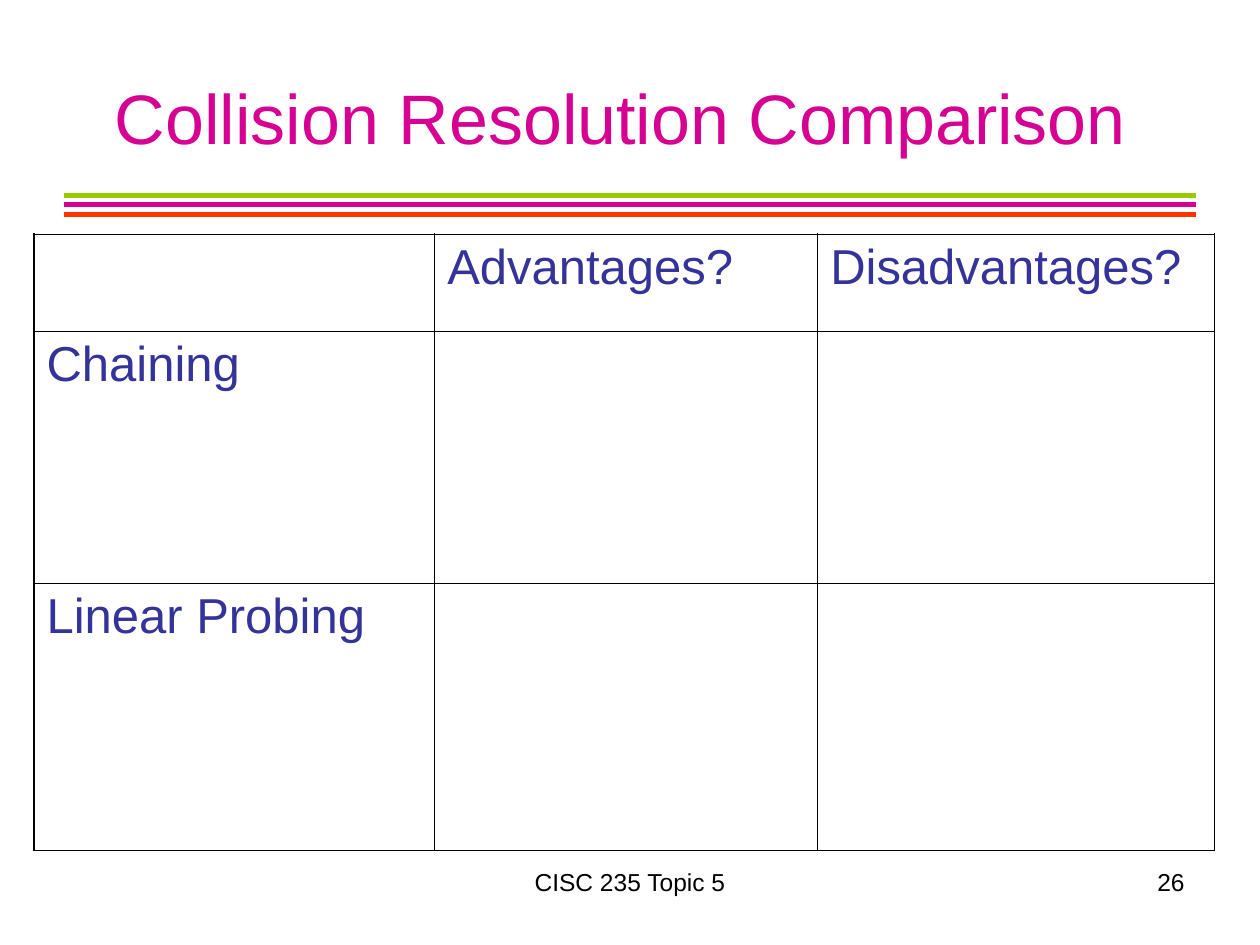
from dataclasses import dataclass

from lxml import etree
from pptx import Presentation
from pptx import util as u
from pptx.dml.color import RGBColor
from pptx.enum import shapes, text
from pptx.oxml.ns import qn


@dataclass(frozen=True)
class Theme:
    font: str = "Arial"
    pink: str = "D60093"
    lime: str = "99CC00"
    red: str = "FF3300"
    navy: str = "333399"
    ink: str = "000000"
    paper: str = "FFFFFF"
    head: int = 40
    body: int = 28
    foot: int = 14
    rule: float = 3
    thick: float = 1.08
    thin: float = 0.45


LOOK = Theme()
WIDE, HIGH = 10, 7.5
COLS = (3.18, 3.04, 3.15)
ROWS = (0.77, 2, 2.12)
CELLS = (
    ("", "Advantages?", "Disadvantages?"),
    ("Chaining", "", ""),
    ("Linear Probing", "", ""),
)


def place(item, box):
    item.left, item.top, item.width, item.height = map(u.Inches, box)


def write(frame, words, size, color, align):
    frame.text = words
    para = frame.paragraphs[0]
    para.alignment = align
    for run in para.runs:
        run.font.name = LOOK.font
        run.font.size = u.Pt(size)
        run.font.color.rgb = RGBColor.from_string(color)
    return para


def title(slide, box):
    item = slide.shapes.title
    place(item, box)
    frame = item.text_frame
    frame.word_wrap = True
    frame.auto_size = text.MSO_AUTO_SIZE.NONE
    frame.vertical_anchor = text.MSO_ANCHOR.MIDDLE
    write(frame, "Collision Resolution Comparison ", LOOK.head, LOOK.pink,
          text.PP_ALIGN.CENTER)


def rules(slide, box):
    left, top, width, height = box
    hues = (LOOK.lime, LOOK.pink, LOOK.red)
    for i, hue in enumerate(hues):
        y = u.Inches(top + i * height / (len(hues) - 1))
        line = slide.shapes.add_connector(
            shapes.MSO_CONNECTOR.STRAIGHT,
            u.Inches(left), y, u.Inches(left + width), y)
        line.line.color.rgb = RGBColor.from_string(hue)
        line.line.width = u.Pt(LOOK.rule)
        etree.SubElement(line._element.spPr, qn("a:effectLst"))


def border(cell, sides):
    props = cell._tc.get_or_add_tcPr()
    for i, (side, width) in enumerate(sides):
        edge = etree.Element(qn("a:ln" + side), w=str(u.Pt(width)))
        fill = etree.SubElement(edge, qn("a:solidFill"))
        etree.SubElement(fill, qn("a:srgbClr"), val=LOOK.ink)
        props.insert(i, edge)


def grid(slide, box):
    frame = slide.shapes.add_table(len(ROWS), len(COLS), *map(u.Inches, box))
    table = frame.table
    table.first_row = table.horz_banding = False
    for col, width in zip(table.columns, COLS):
        col.width = u.Inches(width)
    for row, height in zip(table.rows, ROWS):
        row.height = u.Inches(height)
    for r, line in enumerate(CELLS):
        for c, words in enumerate(line):
            cell = table.cell(r, c)
            cell.fill.solid()
            cell.fill.fore_color.rgb = RGBColor.from_string(LOOK.paper)
            para = write(cell.text_frame, words, LOOK.body, LOOK.navy,
                         text.PP_ALIGN.LEFT)
            para.space_before = u.Pt(7)
            outer = (("L", c == 0), ("R", c == len(COLS) - 1),
                     ("T", r == 0), ("B", False))
            border(cell, [(side, LOOK.thick if out else LOOK.thin)
                          for side, out in outer])


def note(slide, box, words, align):
    item = slide.shapes.add_textbox(*map(u.Inches, box))
    item.text_frame.word_wrap = True
    write(item.text_frame, words, LOOK.foot, LOOK.ink, align)


def footer(slide, box):
    left, top, width, height = box
    mid, end = 3.17, 2.33
    note(slide, (left + (width - mid) / 2, top, mid, height),
         "CISC 235 Topic 5", text.PP_ALIGN.CENTER)
    note(slide, (left + width - end, top, end, height),
         "26", text.PP_ALIGN.RIGHT)


def main():
    deck = Presentation()
    deck.slide_width, deck.slide_height = u.Inches(WIDE), u.Inches(HIGH)
    slide = deck.slides.add_slide(deck.slide_layouts[5])
    edge = WIDE * 0.05
    span = WIDE - 2 * edge
    rules(slide, (edge + 0.01, 1.55, span - 0.02, 0.15))
    footer(slide, (edge, 6.83, span, 0.52))
    title(slide, (edge, HIGH * 0.04, span, HIGH / 6))
    grid(slide, (0.27, 1.86, sum(COLS), sum(ROWS)))
    deck.save("out.pptx")


if __name__ == "__main__":
    main()
